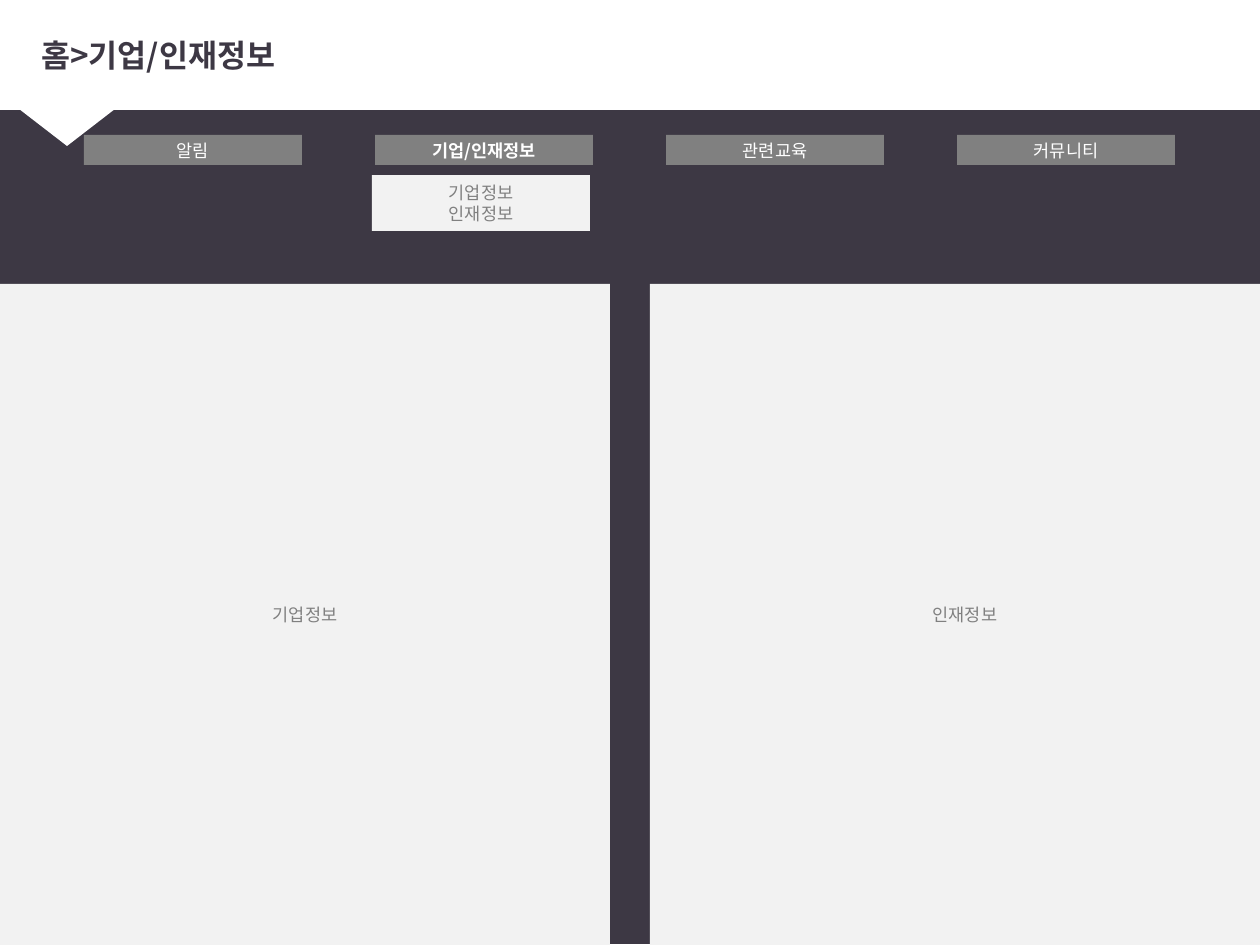
"""Build the company and talent information page of a site mock-up."""
from pptx import Presentation
from pptx import util as u
from pptx.dml import color
from pptx.enum import shapes, text
from pptx.oxml import ns

PIXEL = u.Inches(1) / 126
FONT = "Noto Sans CJK KR"
COLORS = {"dark": "3D3844", "white": "FFFFFF", "gray": "808080", "light": "F2F2F2"}
NAV_LABELS = ["알림", "기업/인재정보", "관련교육", "커뮤니티"]
CURRENT_LABEL = "기업/인재정보"
NAV_LEFT, NAV_STEP, NAV_WIDTH = 84, 291, 218
PANEL_TOP, PANEL_HEIGHT = 284, 661


def px(value):
    """Turn pixels into EMU."""
    return u.Emu(round(value * PIXEL))


def rgb(name):
    """Look up a named colour."""
    return color.RGBColor.from_string(COLORS[name])


def write(shape, words, size, ink, bold=False, align=text.PP_ALIGN.CENTER):
    """Write formatted, vertically centred text into a shape."""
    frame = shape.text_frame
    frame.text = words
    frame.word_wrap = True
    frame.vertical_anchor = text.MSO_ANCHOR.MIDDLE
    for para in frame.paragraphs:
        para.alignment = align
        for span in para.runs:
            font = span.font
            font.name, font.size, font.bold = FONT, u.Pt(size), bold
            font.color.rgb = rgb(ink)
            east_asian = font._element.makeelement(ns.qn("a:ea"), {"typeface": FONT})
            font._element.find(ns.qn("a:latin")).addnext(east_asian)


def add_block(page, area, fill, kind=shapes.MSO_SHAPE.RECTANGLE):
    """Add a filled shape without outline or shadow."""
    block = page.shapes.add_shape(kind, *map(px, area))
    block.shadow.inherit = False
    block.fill.solid()
    block.fill.fore_color.rgb = rgb(fill)
    block.line.fill.background()
    return block


def add_label(page, area, words, fill, ink, bold=False):
    """Add a filled box with a small centred label."""
    write(add_block(page, area, fill), words, 10, ink, bold)


def add_header(page):
    """Add the dark backdrop, the white header with its pointer, and the title."""
    add_block(page, (0, -1, 1278, 945), "dark")
    add_block(page, (-4, -3, 1282, 113), "white")
    pointer = add_block(page, (-25, 75, 184, 71), "white",
                        shapes.MSO_SHAPE.ISOSCELES_TRIANGLE)
    pointer.rotation = 180
    title = page.shapes.add_textbox(*map(px, (29, 16, 1217, 78)))
    write(title, "홈>기업/인재정보", 18, "dark", True, text.PP_ALIGN.LEFT)


def add_navigation(page):
    """Add the menu bar and the open submenu."""
    for index, words in enumerate(NAV_LABELS):
        area = (NAV_LEFT + index * NAV_STEP, 135, NAV_WIDTH, 30)
        add_label(page, area, words, "gray", "white", words == CURRENT_LABEL)
    add_label(page, (372, 175, NAV_WIDTH, 56), "기업정보\n인재정보", "light", "gray")


def main():
    """Build and save the deck."""
    deck = Presentation()
    deck.slide_width, deck.slide_height = px(1260), px(945)
    page = deck.slides.add_slide(deck.slide_layouts[6])
    add_header(page)
    add_navigation(page)
    for left, width, words in [(0, 610, "기업정보"), (650, 630, "인재정보")]:
        area = (left, PANEL_TOP, width, PANEL_HEIGHT)
        add_label(page, area, words, "light", "gray")
    deck.save("out.pptx")


main()
